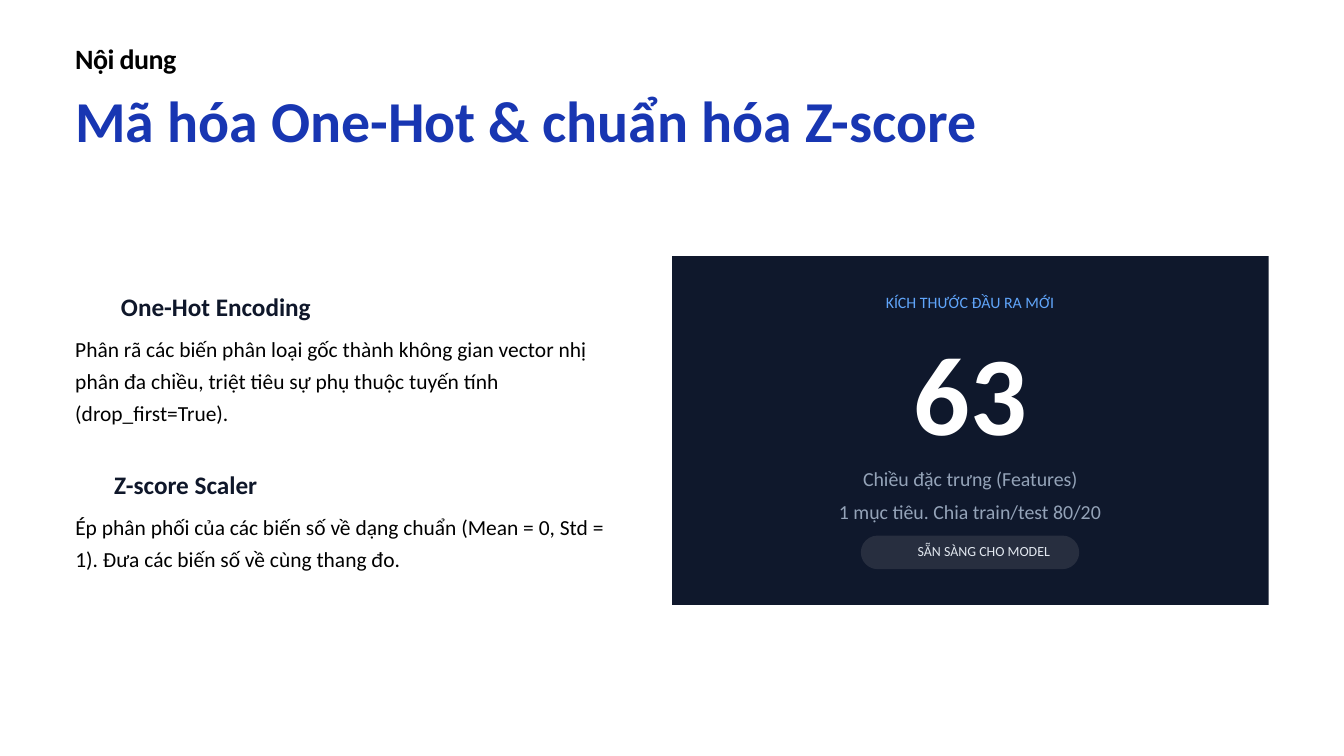
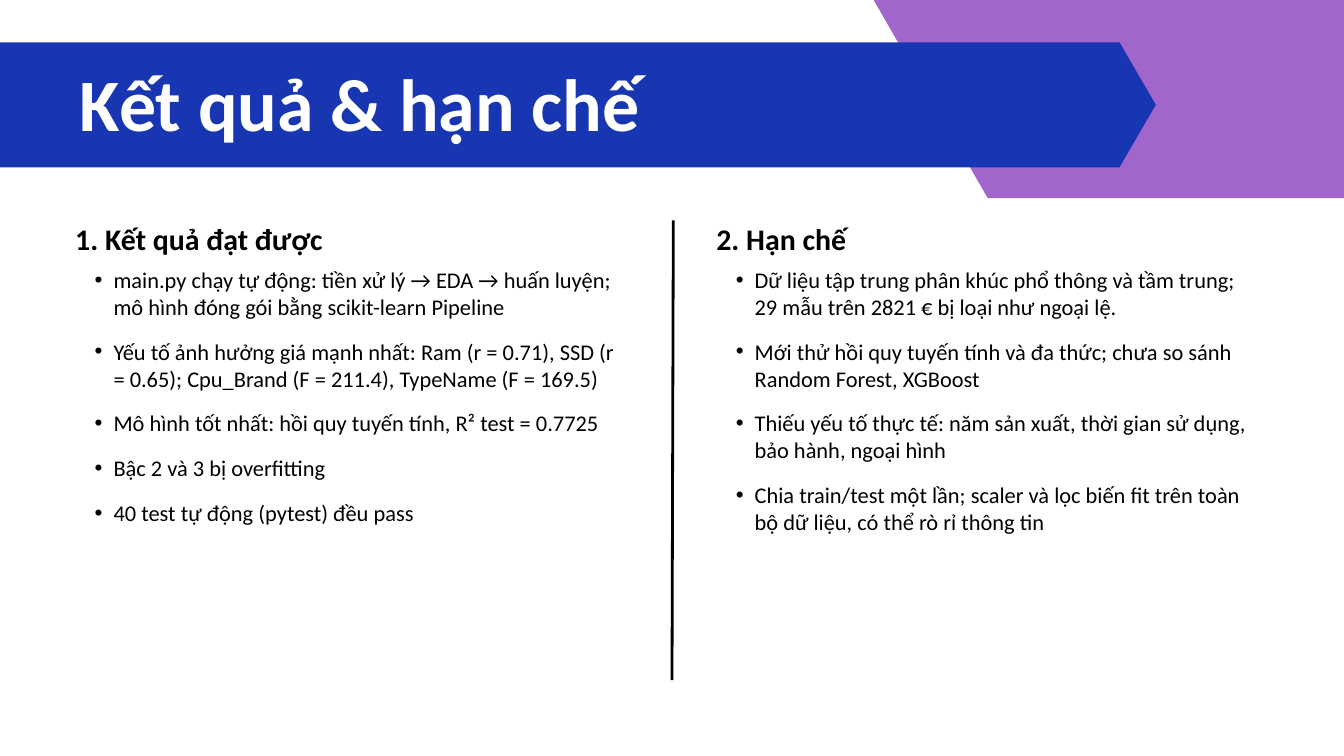
from lxml import etree
from pptx import Presentation
from pptx.dml.color import RGBColor
from pptx.enum.shapes import MSO_CONNECTOR, MSO_SHAPE
from pptx.enum.text import PP_ALIGN
from pptx.oxml.ns import qn
from pptx.util import Inches, Pt

LEFT, MID = PP_ALIGN.LEFT, PP_ALIGN.CENTER
RECT, ROUND = MSO_SHAPE.RECTANGLE, MSO_SHAPE.ROUNDED_RECTANGLE
LINE = MSO_CONNECTOR.STRAIGHT
FONT = "Calibri"
BLUE, PURPLE, BLACK, WHITE = "1836B2", "A066CB", "000000", "FFFFFF"
NAVY, INK, PILL = "0F182C", "0F172A", "272E3F"
SKY, GREY, PALE = "60A5FA", "94A3B8", "E2E8F0"
EDGE = 1.12

METHODS = [
    ("One-Hot Encoding", 0.68, 3.05, 8.03,
     "Phân rã các biến phân loại gốc thành không gian vector nhị phân đa chiều, "
     "triệt tiêu sự phụ thuộc tuyến tính (drop_first=True)."),
    ("Z-score Scaler", 0.58, 2.36, 8.25,
     "Ép phân phối của các biến số về dạng chuẩn (Mean = 0, Std = 1). "
     "Đưa các biến số về cùng thang đo."),
]
RESULTS = [
    "main.py chạy tự động: tiền xử lý → EDA → huấn luyện; "
    "mô hình đóng gói bằng scikit-learn Pipeline",
    "Yếu tố ảnh hưởng giá mạnh nhất: Ram (r = 0.71), SSD (r = 0.65); "
    "Cpu_Brand (F = 211.4), TypeName (F = 169.5)",
    "Mô hình tốt nhất: hồi quy tuyến tính, R² test = 0.7725",
    "Bậc 2 và 3 bị overfitting",
    "40 test tự động (pytest) đều pass",
]
LIMITS = [
    "Dữ liệu tập trung phân khúc phổ thông và tầm trung; "
    "29 mẫu trên 2821 € bị loại như ngoại lệ.",
    "Mới thử hồi quy tuyến tính và đa thức; chưa so sánh Random Forest, XGBoost",
    "Thiếu yếu tố thực tế: năm sản xuất, thời gian sử dụng, bảo hành, ngoại hình",
    "Chia train/test một lần; scaler và lọc biến fit trên toàn bộ dữ liệu, "
    "có thể rò rỉ thông tin",
]


def color(code):
    """Turn a hex string into a colour."""
    return RGBColor.from_string(code)


def paint(shape, code):
    """Give a shape a plain fill with no line or shadow."""
    shape.shadow.inherit = False
    shape.fill.solid()
    shape.fill.fore_color.rgb = color(code)
    shape.line.fill.background()


def bullet(para):
    """Make a paragraph an indented bullet point."""
    para.level = 1
    props = para._p.get_or_add_pPr()
    props.set("marL", str(Inches(0.57)))
    props.set("indent", str(Inches(-0.28)))
    etree.SubElement(props, qn("a:buFont")).set("typeface", "Arial")
    etree.SubElement(props, qn("a:buChar")).set("char", "•")


def write(slide, box, lines, size, code, lead, bold=False, align=LEFT, dots=False, gap=0):
    """Place a text box with one paragraph for each line."""
    frame = slide.shapes.add_textbox(*map(Inches, box)).text_frame
    frame.word_wrap = True
    frame.margin_left = frame.margin_right = frame.margin_top = frame.margin_bottom = 0
    frame.text = "\n".join(lines)
    for spot, para in enumerate(frame.paragraphs):
        if dots:
            bullet(para)
        para.alignment = align
        para.line_spacing = Pt(lead)
        if spot:
            para.space_before = Pt(gap)
        for run in para.runs:
            font = run.font
            font.name, font.size, font.bold = FONT, Pt(size), bold
            font.color.rgb = color(code)
    return frame


def hexa(slide, box, tip, code):
    """Draw a flat hexagon whose points reach in by tip."""
    x, y, w, h = box
    spots = [(x + w - tip, y), (x + w, y + h / 2), (x + w - tip, y + h),
             (x + tip, y + h), (x, y + h / 2)]
    form = slide.shapes.build_freeform(Inches(x + tip), Inches(y))
    form.add_line_segments([(Inches(a), Inches(b)) for a, b in spots], close=True)
    paint(form.convert_to_shape(), code)


def header(slide, box):
    """Write the small label and the blue title below it."""
    x, y, w, h = box
    write(slide, (x, y + 0.77, w, h - 0.77), ["Mã hóa One-Hot & chuẩn hóa Z-score"],
          62, BLUE, 68.2, True)
    label = write(slide, (x, y, 5.84, 0.54), ["Nội dung"], 30, BLACK, 39, True)
    label.paragraphs[0].runs[0]._r.get_or_add_rPr().set("spc", "-60")


def method(slide, box, name, shift, wide, body):
    """Write a method's indented name and its description."""
    x, y, w, h = box
    write(slide, (x + shift, y, wide, 0.46), [name], 27, INK, 32.4, True)
    write(slide, (x, y + 0.57, w, h - 0.57), [body], 23, BLACK, 34.5)


def card(slide, box):
    """Draw the dark card with the feature count and the status pill."""
    x, y, w, h = box
    paint(slide.shapes.add_shape(RECT, *map(Inches, box)), NAVY)
    pill = slide.shapes.add_shape(
        ROUND, Inches(x + 2.81), Inches(y + h - 1.03), Inches(3.25), Inches(0.5))
    pill.adjustments[0] = 0.5
    paint(pill, PILL)
    rows = [
        ("KÍCH THƯỚC ĐẦU RA MỚI", 2.07, 0.54, 4.73, 0.3, 17, SKY),
        ("63", 3.55, 1.01, 1.78, 2, 119.8, WHITE),
        ("Chiều đặc trưng (Features)", 2.72, 3.13, 3.44, 0.37, 21.3, GREY),
        ("1 mục tiêu. Chia train/test 80/20", 2.35, 3.62, 4.17, 0.37, 21.3, GREY),
        ("SẴN SÀNG CHO MODEL", 3.56, 4.27, 2.16, 0.26, 14.9, PALE),
    ]
    for line, dx, dy, wide, high, size, code in rows:
        write(slide, (x + dx, y + dy, wide, high), [line], size, code,
              round(size * 1.2, 1), line == "63", MID)


def banner(slide, box):
    """Draw the blue title band over the purple hexagon."""
    x, y, w, h = box
    hexa(slide, (x + 13.28, y - 5.25, 10, 7.57), 2.18, PURPLE)
    hexa(slide, box, 0.54, BLUE)
    write(slide, (x + 1.95, y + 0.33, w - 3.54, 1.26), ["Kết quả & hạn chế"],
          79.2, WHITE, 87.2, True)


def column(slide, box, name, points):
    """Write a heading with its bullet points below."""
    x, y, w, h = box
    write(slide, (x, y, w, 0.61), [name], 32, BLACK, 44.8, True)
    write(slide, (x, y + 0.77, w, h - 0.77), points, 24, BLACK, 28.8, dots=True, gap=19.2)


def rule(slide, box):
    """Draw the black line between the columns."""
    x, y, w, h = box
    line = slide.shapes.add_connector(
        LINE, Inches(x + w), Inches(y), Inches(x), Inches(y + h))
    line.line.color.rgb = color(BLACK)
    line.line.width = Pt(3)
    etree.SubElement(line._element.spPr, qn("a:effectLst"))


def encode(slide):
    """Build the slide on encoding and scaling."""
    header(slide, (EDGE, 0.58, 15.42, 1.74))
    card(slide, (10, 3.81, 8.88, 5.19))
    for spot, (name, shift, wide, w, body) in enumerate(METHODS):
        method(slide, (EDGE, 4.33 + spot * 2.65, w, 1.96 - spot * 0.46),
               name, shift, wide, body)


def review(slide):
    """Build the slide on results and limits."""
    banner(slide, (-0.76, 0.63, 17.96, 1.86))
    rule(slide, (10, 3.28, 0.02, 6.84))
    column(slide, (EDGE, 3.19, 8.24, 5.37), "1. Kết quả đạt được", RESULTS)
    column(slide, (10.66, 3.19, 7.89, 4.72), "2. Hạn chế", LIMITS)


def main():
    """Build and save the deck."""
    deck = Presentation()
    deck.slide_width, deck.slide_height = Inches(20), Inches(11.25)
    for build in (encode, review):
        build(deck.slides.add_slide(deck.slide_layouts[6]))
    deck.save("out.pptx")


if __name__ == "__main__":
    main()
